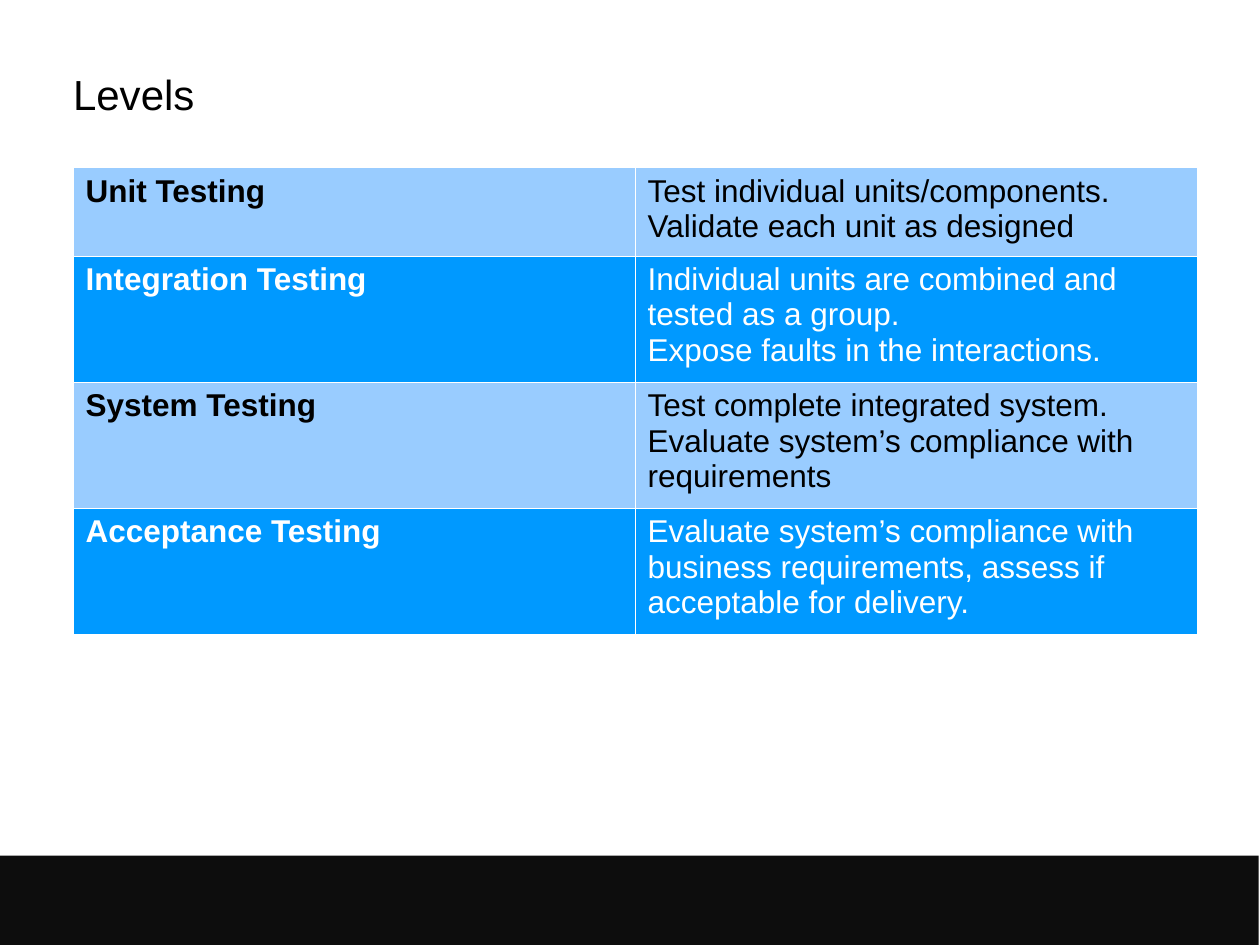
from pptx import Presentation
from pptx import util as u
from pptx.dml.color import RGBColor
from pptx.enum import shapes, text
from lxml import etree
from pptx.oxml import ns

COLORS = {
    "black": "000000",
    "white": "FFFFFF",
    "footer": "0D0D0D",
    "light": "99CCFF",
    "strong": "0099FF",
}
LEVELS = [
    ("Unit Testing", "Test individual units/components. Validate each unit as designed", 0.7),
    ("Integration Testing",
     "Individual units are combined and tested as a group.\n"
     "Expose faults in the interactions.", 1),
    ("System Testing",
     "Test complete integrated system.\n"
     "Evaluate system’s compliance with\nrequirements", 1),
    ("Acceptance Testing",
     "Evaluate system’s compliance with business requirements, "
     "assess if acceptable for delivery.", 1),
]
LEFT, WIDTH = 0.58, 8.92


def style(paragraph, size, color, bold=False):
    font = paragraph.font
    font.name, font.size, font.bold = "Arial", u.Pt(size), bold
    font.color.rgb = RGBColor.from_string(COLORS[color])


def add_borders(cell, color, width):
    properties = cell._tc.get_or_add_tcPr()
    for position, side in enumerate(("lnL", "lnR", "lnT", "lnB")):
        line = etree.Element(ns.qn(f"a:{side}"), w=str(u.Pt(width)))
        fill = etree.SubElement(line, ns.qn("a:solidFill"))
        etree.SubElement(fill, ns.qn("a:srgbClr"), val=COLORS[color])
        properties.insert(position, line)


deck = Presentation()
deck.slide_width, deck.slide_height = u.Inches(10), u.Inches(7.5)
page = deck.slides.add_slide(deck.slide_layouts[6])

# Footer bar
bar = page.shapes.add_shape(shapes.MSO_SHAPE.RECTANGLE, u.Inches(-0.01), u.Inches(6.79),
                            u.Inches(10), u.Inches(0.71))
bar.shadow.inherit = False
bar.fill.solid()
bar.fill.fore_color.rgb = RGBColor.from_string(COLORS["footer"])
bar.line.fill.background()

# Title
title = page.shapes.add_textbox(u.Inches(LEFT), u.Inches(0.33), u.Inches(WIDTH), u.Inches(0.83))
frame = title.text_frame
frame.word_wrap = True
frame.vertical_anchor = text.MSO_ANCHOR.MIDDLE
frame.margin_left = frame.margin_right = frame.margin_top = frame.margin_bottom = 0
frame.text = "Levels"
style(frame.paragraphs[0], 24, "black")

# Table of test levels
table = page.shapes.add_table(len(LEVELS), 2, u.Inches(LEFT), u.Inches(1.33), u.Inches(WIDTH),
                              u.Inches(sum(level[2] for level in LEVELS))).table
table.first_row = table.horz_banding = False
for column in table.columns:
    column.width = u.Inches(WIDTH / 2)

for index, (name, description, height) in enumerate(LEVELS):
    table.rows[index].height = u.Inches(height)
    fill_color, text_color = [("light", "black"), ("strong", "white")][index % 2]
    for column_index, words in enumerate((name, description)):
        cell = table.cell(index, column_index)
        cell.text = words
        cell.fill.solid()
        cell.fill.fore_color.rgb = RGBColor.from_string(COLORS[fill_color])
        add_borders(cell, "white", 0.06)
        for paragraph in cell.text_frame.paragraphs:
            style(paragraph, 18, text_color, bold=column_index == 0)

deck.save("out.pptx")
